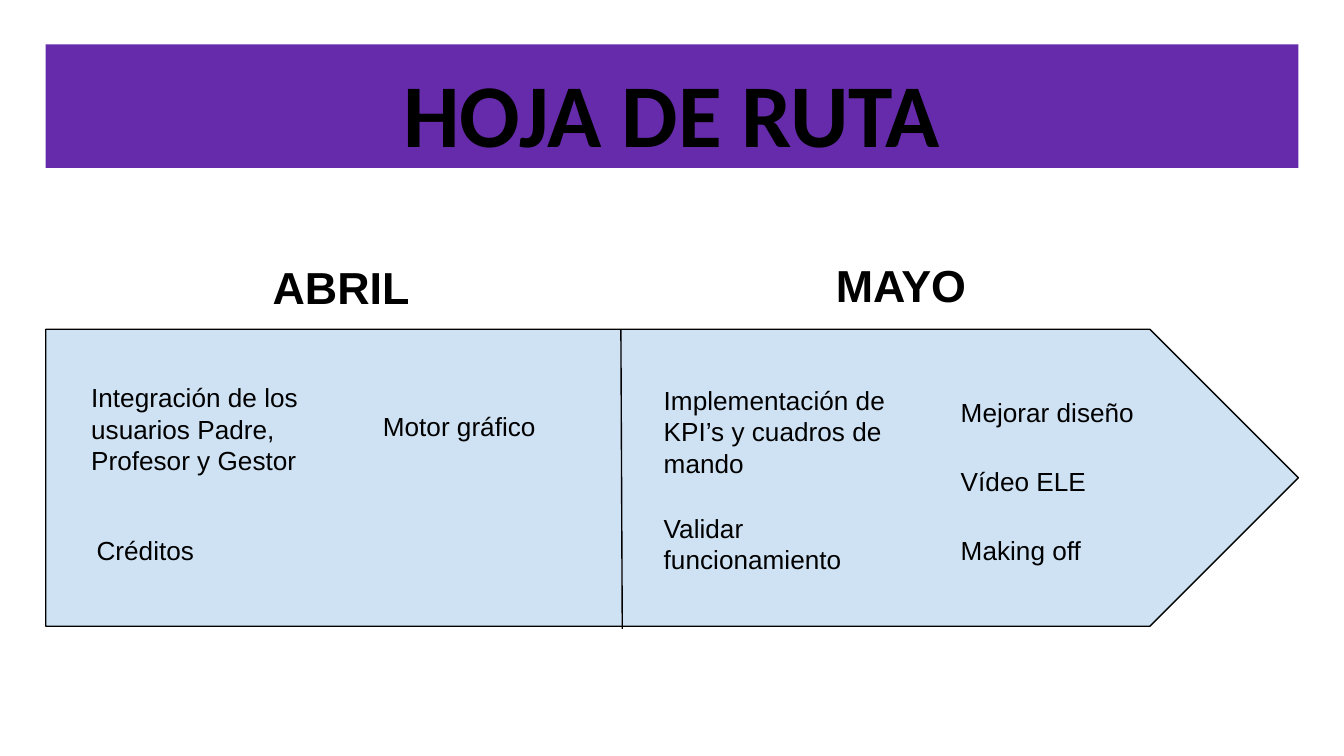
from lxml import etree
from pptx import Presentation
from pptx import util as u
from pptx.dml.color import RGBColor
from pptx.enum import shapes, text
from pptx.oxml.ns import qn

# Content: wording, left, top, width, height
TITLE = "HOJA DE RUTA"
MONTHS = [
    ("ABRIL", 1.93, 1.83, 1.32, 0.37),
    ("MAYO", 6.12, 1.82, 1.19, 0.49),
]
TASKS = [
    ("Integración de los usuarios Padre, Profesor y Gestor", 0.58, 2.74, 1.78, 0.92),
    ("Créditos", 0.62, 3.88, 1.32, 0.37),
    ("Motor gráfico", 2.75, 2.95, 1.45, 0.49),
    ("Implementación de KPI’s y cuadros de mando", 4.84, 2.76, 1.91, 0.86),
    ("Validar funcionamiento", 4.84, 3.71, 1.91, 0.7),
    ("Mejorar diseño", 7.05, 2.85, 1.78, 0.49),
    ("Vídeo ELE", 7.05, 3.36, 1.32, 0.49),
    ("Making off", 7.05, 3.88, 1.65, 0.37),
]
SLIDE_WIDTH = 10
SLIDE_HEIGHT = SLIDE_WIDTH * 9 / 16
LEFT, WIDTH = 0.34, 9.32
BLACK, PURPLE, LIGHT_BLUE = "000000", "652BAB", "CFE2F3"


def color(value):
    return RGBColor.from_string(value)


def write(shape, wording, size=14, font="Arial", bold=False,
          align=text.PP_ALIGN.LEFT):
    frame = shape.text_frame
    frame.word_wrap = True
    frame.vertical_anchor = text.MSO_ANCHOR.TOP
    frame.margin_left = frame.margin_right = u.Inches(0.1)
    frame.margin_top = frame.margin_bottom = u.Inches(0.1)
    paragraph = frame.paragraphs[0]
    paragraph.alignment = align
    run = paragraph.add_run()
    run.text = wording
    run.font.size = u.Pt(size)
    run.font.name = font
    run.font.bold = bold
    run.font.color.rgb = color(BLACK)


def outline(line):
    line.color.rgb = color(BLACK)
    line.width = u.Pt(0.75)


def add_block(kind, top, height, fill):
    shape = slide.shapes.add_shape(
        kind, u.Inches(LEFT), u.Inches(top), u.Inches(WIDTH), u.Inches(height))
    shape.shadow.inherit = False
    shape.fill.solid()
    shape.fill.fore_color.rgb = color(fill)
    return shape


presentation = Presentation()
presentation.slide_width = u.Inches(SLIDE_WIDTH)
presentation.slide_height = u.Inches(SLIDE_HEIGHT)
slide = presentation.slides.add_slide(presentation.slide_layouts[6])

# Title band
banner = add_block(shapes.MSO_SHAPE.RECTANGLE, 0.33, 0.92, PURPLE)
banner.line.fill.background()
write(banner, TITLE, size=48, font="Calibri", bold=True,
      align=text.PP_ALIGN.CENTER)

# Timeline arrow and the divider between months
timeline = add_block(shapes.MSO_SHAPE.PENTAGON, 2.45, 2.21, LIGHT_BLUE)
timeline.adjustments[0] = 0.5
outline(timeline.line)
divider = slide.shapes.add_connector(
    shapes.MSO_CONNECTOR.STRAIGHT,
    u.Inches(4.62), u.Inches(2.45), u.Inches(4.63), u.Inches(4.68))
outline(divider.line)
etree.SubElement(divider.element.spPr, qn("a:effectLst"))

# Month headings and tasks
for entries, style in ((MONTHS, {"size": 24, "bold": True}), (TASKS, {})):
    for wording, *box in entries:
        label = slide.shapes.add_textbox(*map(u.Inches, box))
        write(label, wording, **style)

presentation.save("out.pptx")
